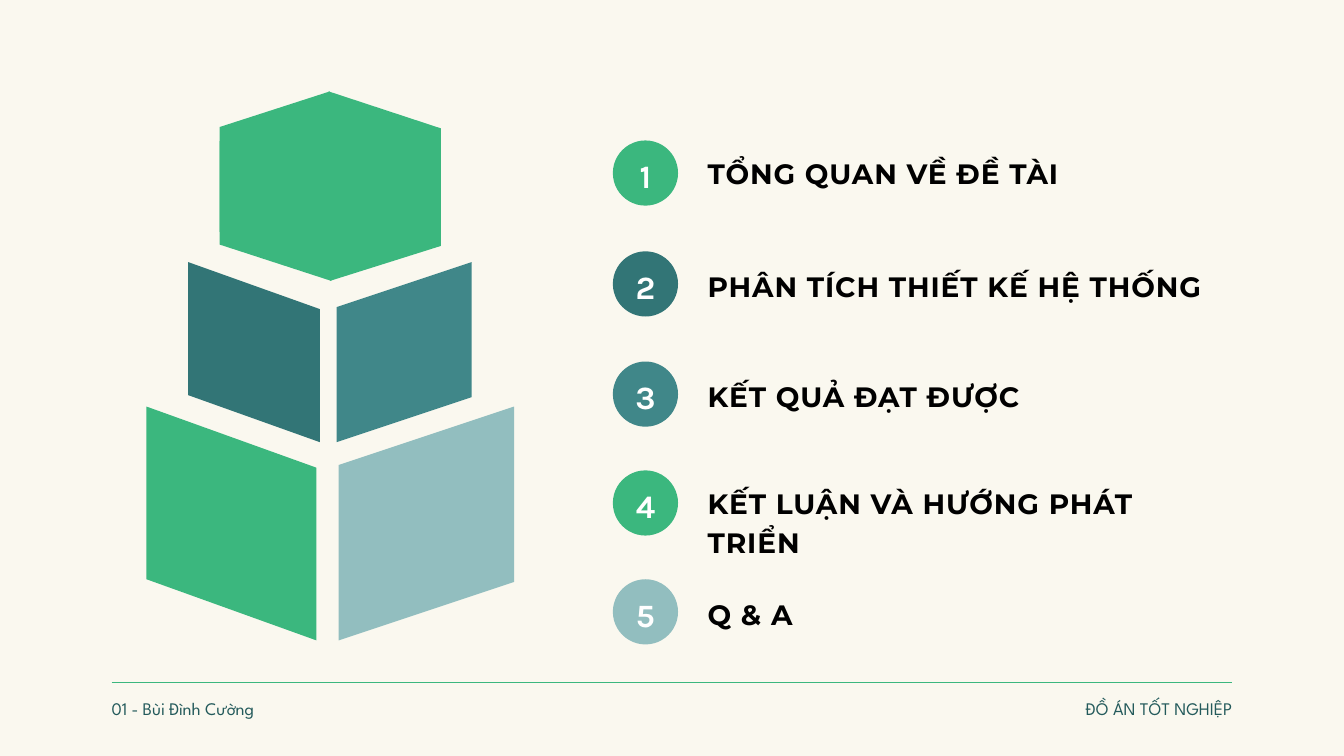
from dataclasses import dataclass

from lxml.etree import SubElement
from pptx import Presentation
from pptx.dml.color import RGBColor
from pptx.enum.shapes import MSO_CONNECTOR, MSO_SHAPE
from pptx.enum.text import MSO_AUTO_SIZE, PP_ALIGN
from pptx.oxml.ns import qn
from pptx.util import Inches, Pt


@dataclass(frozen=True)
class Theme:
    paper: str = "FAF8EF"
    green: str = "3BB77E"
    deep: str = "327576"
    teal: str = "408789"
    pale: str = "92BEBF"
    foot: str = "235A5B"
    # font, size, colour, bold, line height, letter gap (hundredths of a point)
    label: tuple = ("Montserrat", 30, "000000", True, 42, 100)
    digit: tuple = ("Karla", 34.9, "FFFFFF", True, 53.8, 150)
    note: tuple = ("League Spartan", 19, "235A5B", False, 29.4, 0)


THEME = Theme()

# left, top, width, height, slant (down to the right is positive), colour
TOP = [
    (1.09, 0.74, 1.66, 2.08, 0.54, THEME.green),
    (2.73, 0.74, 1.65, 2.08, -0.52, THEME.green),
    (2.71, 0, 1.67, 2.09, 0.55, THEME.green),
    (1.09, 0, 1.64, 2.09, -0.53, THEME.green),
]
MIDDLE_LEFT = [(0.62, 2.54, 1.96, 2.68, 0.7, THEME.deep)]
MIDDLE_RIGHT = [(2.83, 2.54, 2.01, 2.68, -0.67, THEME.teal)]
BASE_LEFT = [(0, 4.69, 2.53, 3.48, 0.91, THEME.green)]
BASE_RIGHT = [(2.86, 4.69, 2.61, 3.48, -0.87, THEME.pale)]
BLOCKS = [TOP, MIDDLE_LEFT, MIDDLE_RIGHT, BASE_LEFT, BASE_RIGHT]

# wording, colour, top of the circle, drop of the wording below it
TOPICS = [
    ("TỔNG QUAN VỀ ĐỀ TÀI", THEME.green, 2.09, 0.16),
    ("PHÂN TÍCH THIẾT KẾ HỆ THỐNG", THEME.deep, 3.74, 0.19),
    ("KẾT QUẢ ĐẠT ĐƯỢC", THEME.teal, 5.38, 0.19),
    ("KẾT LUẬN VÀ HƯỚNG PHÁT TRIỂN", THEME.green, 7, 0.15),
    ("Q & A", THEME.pale, 8.62, 0.19),
]


def paint(shape, color):
    shape.shadow.inherit = False
    shape.fill.solid()
    shape.fill.fore_color.rgb = RGBColor.from_string(color)
    shape.line.fill.background()


def add_text(shapes, box, text, style, align=PP_ALIGN.LEFT):
    name, size, color, bold, height, gap = style
    frame = shapes.add_textbox(*map(Inches, box)).text_frame
    layout = {
        "word_wrap": True, "auto_size": MSO_AUTO_SIZE.SHAPE_TO_FIT_TEXT,
        "margin_left": 0, "margin_top": 0, "margin_right": 0, "margin_bottom": 0,
    }
    for key, value in layout.items():
        setattr(frame, key, value)
    line = frame.paragraphs[0]
    line.alignment = align
    line.line_spacing = Pt(height)
    run = line.add_run()
    run.text = text
    for key, value in {"name": name, "size": Pt(size), "bold": bold}.items():
        setattr(run.font, key, value)
    run.font.color.rgb = RGBColor.from_string(color)
    if gap:
        run.font._element.set("spc", str(gap))


def add_face(shapes, box, slant, color):
    """Draw a parallelogram with upright sides that fills the box."""
    left, top, width, height = box
    right, low = left + width, top + height
    down, up = max(slant, 0), max(-slant, 0)
    points = [(left, top + up), (right, top + down),
              (right, low - up), (left, low - down)]
    points = [(Inches(x), Inches(y)) for x, y in points]
    pen = shapes.build_freeform(*points[0])
    pen.add_line_segments(points[1:], close=True)
    paint(pen.convert_to_shape(), color)


def add_tower(slide, left, top):
    for faces in BLOCKS:
        group = slide.shapes.add_group_shape()
        for x, y, width, height, slant, color in faces:
            add_face(group.shapes, (left + x, top + y, width, height), slant, color)


def add_topic(slide, left, top, number, text, color, drop):
    shapes = slide.shapes.add_group_shape().shapes
    disc = shapes.add_shape(MSO_SHAPE.OVAL, *map(Inches, (left, top, 0.97, 0.97)))
    paint(disc, color)
    add_text(shapes, (left + 0.22, top + 0.07, 0.53, 0.68), str(number),
             THEME.digit, PP_ALIGN.CENTER)
    add_text(shapes, (left + 1.41, top + drop, 7.82, 0.55), text, THEME.label)


def add_footer(slide, left, top, width):
    right = left + width
    rule = slide.shapes.add_connector(
        MSO_CONNECTOR.STRAIGHT, *map(Inches, (left, top, right, top)))
    rule.line.color.rgb = RGBColor.from_string(THEME.green)
    rule.line.width = Pt(0.75)
    SubElement(rule._element.spPr, qn("a:effectLst"))
    add_text(slide.shapes, (left, top + 0.14, 4.69, 0.39),
             "01 - Bùi Đình Cường", THEME.note)
    add_text(slide.shapes, (right - 4.86, top + 0.14, 4.86, 0.39),
             "ĐỒ ÁN TỐT NGHIỆP", THEME.note, PP_ALIGN.RIGHT)


def main():
    deck = Presentation()
    deck.slide_width, deck.slide_height = Inches(20), Inches(11.25)
    slide = deck.slides.add_slide(deck.slide_layouts[6])
    slide.background.fill.solid()
    slide.background.fill.fore_color.rgb = RGBColor.from_string(THEME.paper)
    add_footer(slide, 1.66, 10.15, 16.68)
    add_tower(slide, 2.18, 1.36)
    for number, (text, color, top, drop) in enumerate(TOPICS, 1):
        add_topic(slide, 9.12, top, number, text, color, drop)
    deck.save("out.pptx")


if __name__ == "__main__":
    main()
